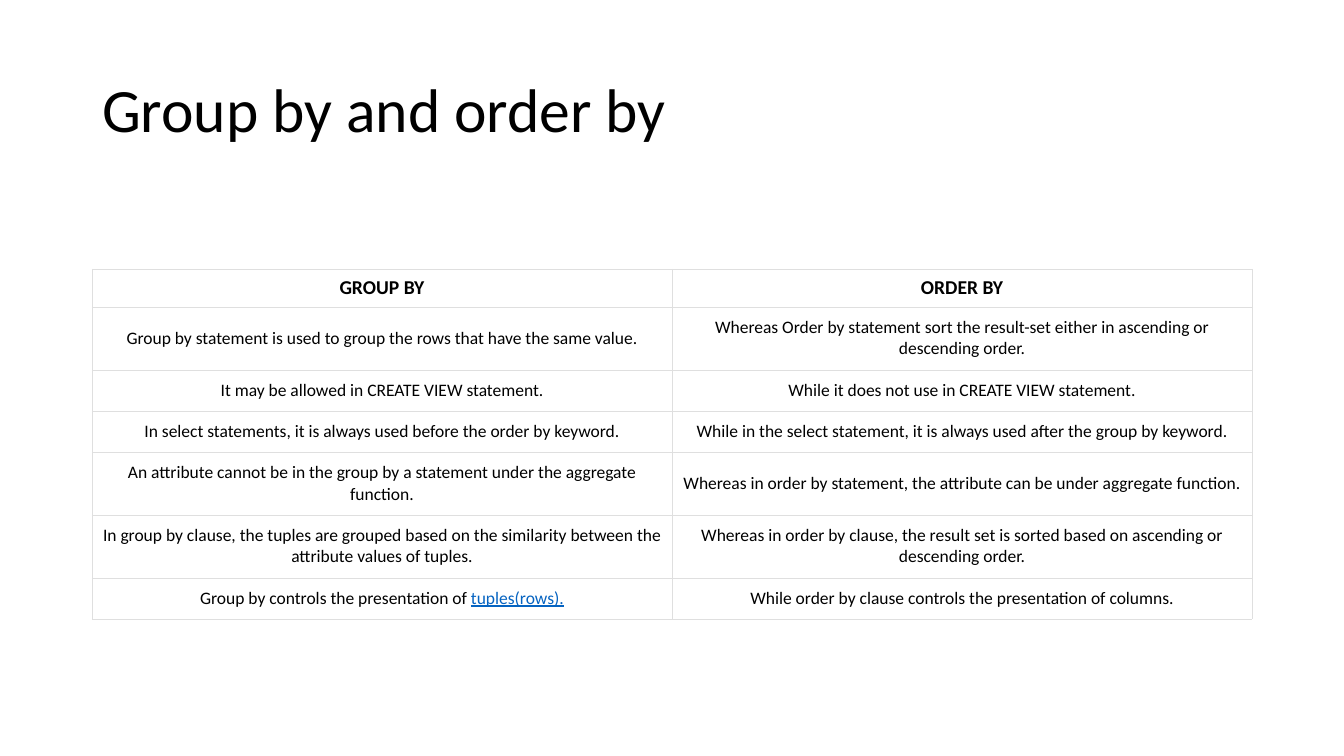
from lxml.etree import SubElement
from pptx import Presentation
from pptx.dml.color import RGBColor
from pptx.enum.text import MSO_ANCHOR, PP_ALIGN
from pptx.oxml.ns import qn
from pptx.util import Pt

EMU_PER_PX = 914400 / 100.8
FONT = "Calibri"
BLACK = RGBColor(0x00, 0x00, 0x00)
WHITE = RGBColor(0xFF, 0xFF, 0xFF)
LINK_BLUE = RGBColor(0x05, 0x63, 0xC1)
BORDER_GRAY = RGBColor(0xDF, 0xDF, 0xDF)

HEADINGS = ["GROUP BY", "ORDER BY"]
COMPARISONS = [
    ["Group by statement is used to group the rows that have the same value.",
     "Whereas Order by statement sort the result-set either in ascending or descending order."],
    ["It may be allowed in CREATE VIEW statement.",
     "While it does not use in CREATE VIEW statement."],
    ["In select statements, it is always used before the order by keyword.",
     "While in the select statement, it is always used after the group by keyword."],
    ["An attribute cannot be in the group by a statement under the aggregate function.",
     "Whereas in order by statement, the attribute can be under aggregate function."],
    ["In group by clause, the tuples are grouped based on the similarity between the "
     "attribute values of tuples.",
     "Whereas in order by clause, the result set is sorted based on ascending or descending order."],
    ["Group by controls the presentation of ",
     "While order by clause controls the presentation of columns."],
]
LINKED_WORDS = "tuples(rows)."
ROW_HEIGHTS = [38, 62, 41, 41, 62, 62, 41]


def px(length):
    return round(length * EMU_PER_PX)


def add_run(paragraph, text, size, color=BLACK, bold=False, underline=False):
    run = paragraph.add_run()
    run.text = text
    font = run.font
    font.name, font.size, font.bold, font.underline = FONT, Pt(size), bold, underline
    font.color.rgb = color


def add_title(slide, left, top, width, height):
    title = slide.shapes.title
    title.left, title.top, title.width, title.height = map(px, (left, top, width, height))
    frame = title.text_frame
    frame.vertical_anchor = MSO_ANCHOR.MIDDLE
    frame.word_wrap = True
    paragraph = frame.paragraphs[0]
    paragraph.alignment = PP_ALIGN.LEFT
    paragraph.line_spacing = 0.9
    add_run(paragraph, "Group by and order by", 44)


def set_borders(cell):
    properties = cell._tc.get_or_add_tcPr()
    for side in ("a:lnL", "a:lnR", "a:lnT", "a:lnB"):
        line = SubElement(properties, qn(side), w=str(Pt(0.15)))
        fill = SubElement(line, qn("a:solidFill"))
        SubElement(fill, qn("a:srgbClr"), val=str(BORDER_GRAY))


def format_cell(cell, side_margin, end_margin):
    """Apply borders, fill, margins and centring; return the paragraph to write in."""
    set_borders(cell)
    cell.fill.solid()
    cell.fill.fore_color.rgb = WHITE
    cell.vertical_anchor = MSO_ANCHOR.MIDDLE
    cell.margin_left = cell.margin_right = px(side_margin)
    cell.margin_top = cell.margin_bottom = px(end_margin)
    paragraph = cell.text_frame.paragraphs[0]
    paragraph.alignment = PP_ALIGN.CENTER
    return paragraph


def add_comparison_table(slide, left, top, width):
    frame = slide.shapes.add_table(len(ROW_HEIGHTS), len(HEADINGS), px(left), px(top),
                                   px(width), px(sum(ROW_HEIGHTS)))
    table = frame.table
    table.horz_banding = False
    for column in table.columns:
        column.width = px(width / len(HEADINGS))
    for row, height in zip(table.rows, ROW_HEIGHTS):
        row.height = px(height)
    for column, heading in enumerate(HEADINGS):
        paragraph = format_cell(table.cell(0, column), 4 if column == 0 else 7, 7)
        add_run(paragraph, heading, 14, bold=True)
    for row, statements in enumerate(COMPARISONS, start=1):
        for column, statement in enumerate(statements):
            add_run(format_cell(table.cell(row, column), 7, 10), statement, 12.5)
    last_statement = table.cell(len(COMPARISONS), 0).text_frame.paragraphs[0]
    add_run(last_statement, LINKED_WORDS, 12.5, LINK_BLUE, underline=True)


def main():
    presentation = Presentation()
    presentation.slide_width, presentation.slide_height = px(1344), px(756)
    slide = presentation.slides.add_slide(presentation.slide_layouts[5])
    add_title(slide, 92, 40, 1160, 146)
    add_comparison_table(slide, 92, 269, 1160)
    presentation.save("out.pptx")


if __name__ == "__main__":
    main()
